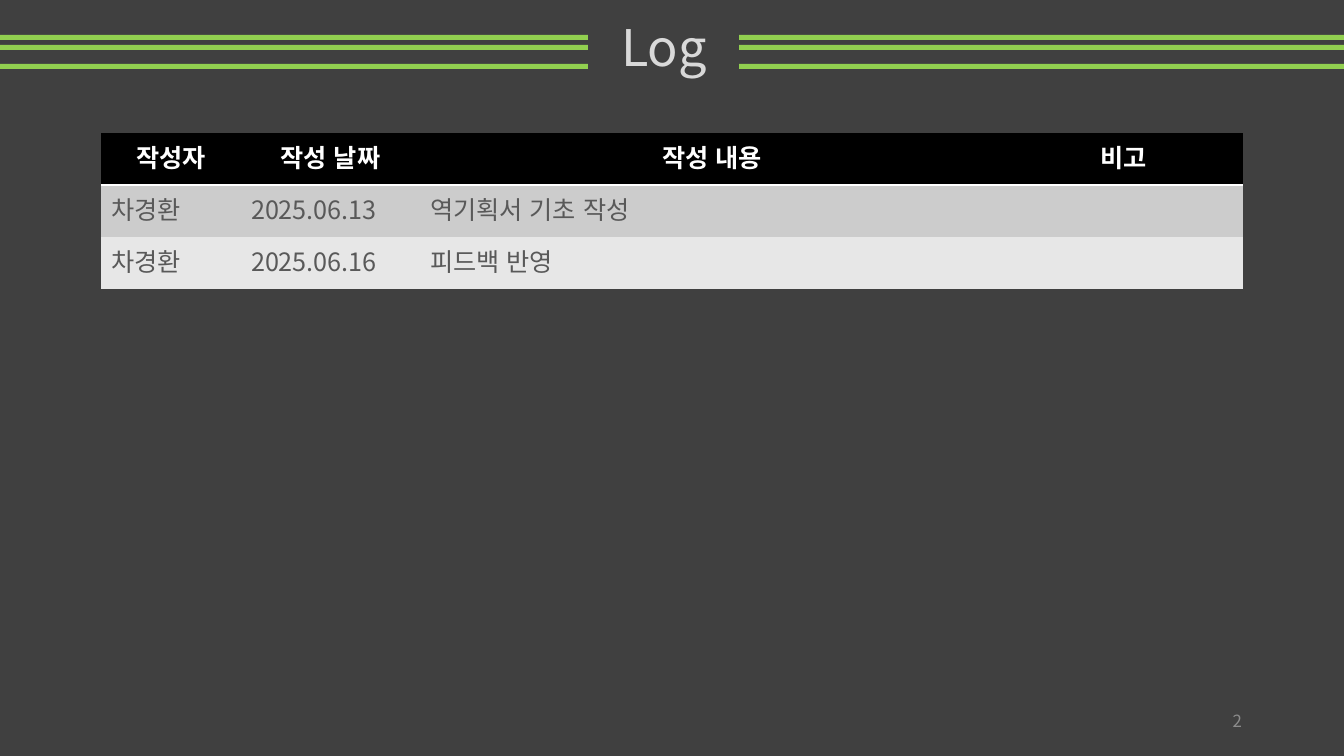
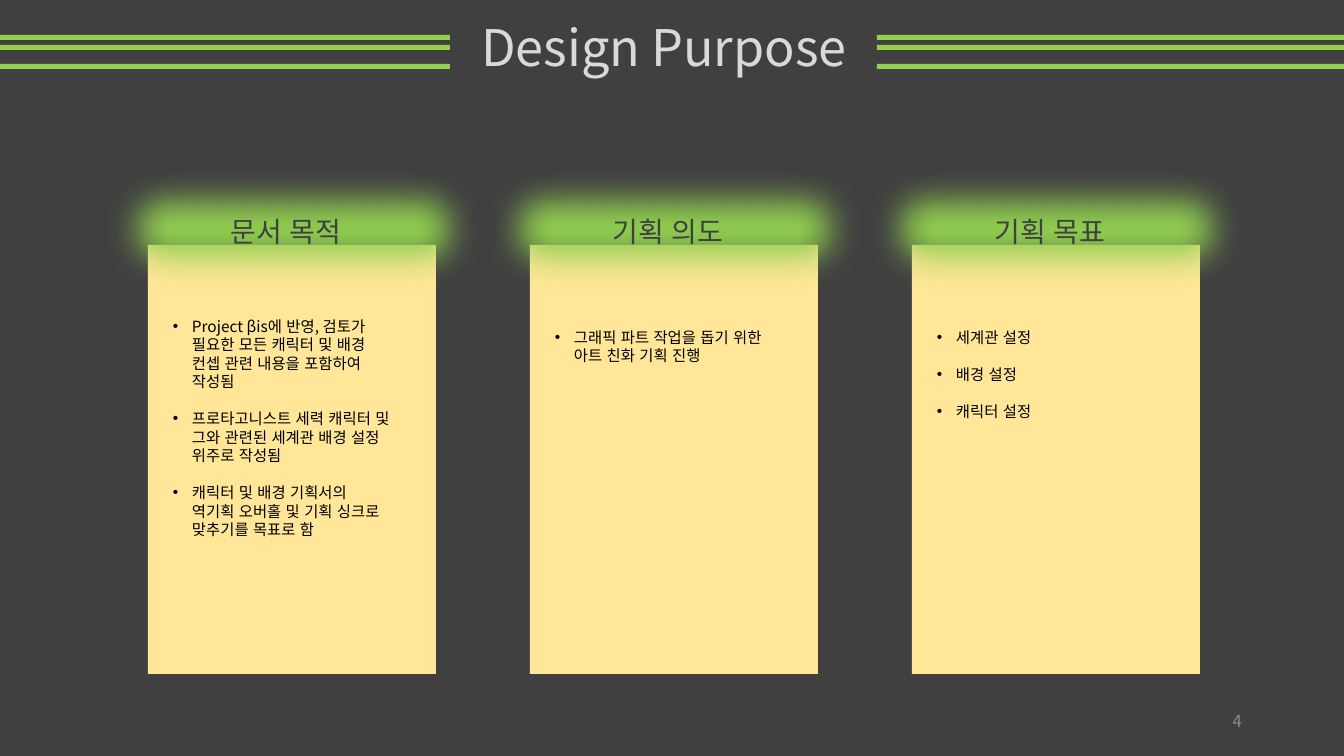
"""Build a change log slide and a design purpose slide."""
import pptx
import pptx.dml.color
import pptx.enum.lang
import pptx.enum.shapes
import pptx.enum.text
import pptx.oxml.ns
import pptx.util
from lxml import etree

FONT = "Noto Sans CJK KR"
COLORS = {
    "background": "404040",
    "green": "92D050",
    "title": "D9D9D9",
    "page": "8C8C8C",
    "panel": "FFE699",
    "label": "404040",
    "body": "000000",
    "header_fill": "000000",
    "header_text": "FFFFFF",
    "cell_text": "595959",
    "row_odd": "CCCCCC",
    "row_even": "E7E7E7",
}
SLIDE_WIDTH, SLIDE_HEIGHT = 1344, 756
BAND_TOPS, BAND_HEIGHT = (35, 45, 64), 5

LOG = {"title": "Log", "page": "2", "gap": (588, 739)}
LOG_COLUMNS = [("작성자", 140), ("작성 날짜", 179), ("작성 내용", 584), ("비고", 239)]
LOG_ROWS = [
    ("차경환", "2025.06.13", "역기획서 기초 작성", ""),
    ("차경환", "2025.06.16", "피드백 반영", ""),
]
LOG_LEFT, LOG_TOP, ROW_HEIGHT = 101, 133, 52

PURPOSE = {"title": "Design Purpose", "page": "4", "gap": (450, 877)}
PURPOSE_COLUMNS = [
    {
        "label": "문서 목적",
        "top": 312, "width": 238, "height": 234,
        "items": [
            "Project βis에 반영, 검토가 필요한 모든 캐릭터 및 배경 컨셉 관련 내용을 포함하여 작성됨",
            "프로타고니스트 세력 캐릭터 및 그와 관련된 세계관 배경 설정 위주로 작성됨",
            "캐릭터 및 배경 기획서의 역기획 오버홀 및 기획 싱크로 맞추기를 목표로 함",
        ],
    },
    {
        "label": "기획 의도",
        "top": 323, "width": 246, "height": 47,
        "items": ["그래픽 파트 작업을 돕기 위한 아트 친화 기획 진행"],
    },
    {
        "label": "기획 목표",
        "top": 323, "width": 246, "height": 104,
        "items": ["세계관 설정", "배경 설정", "캐릭터 설정"],
    },
]
COLUMN_PITCH = 382

SHAPES = pptx.enum.shapes.MSO_SHAPE
ALIGN = pptx.enum.text.PP_ALIGN
ANCHOR = pptx.enum.text.MSO_ANCHOR
AUTO_SIZE = pptx.enum.text.MSO_AUTO_SIZE
qn = pptx.oxml.ns.qn


def px(length):
    return pptx.util.Emu(round(length * 12192000 / SLIDE_WIDTH))


def color(name):
    return pptx.dml.color.RGBColor.from_string(COLORS[name])


def paint(fill, name):
    fill.solid()
    fill.fore_color.rgb = color(name)


def write(frame, lines, size, color_name, align=ALIGN.LEFT, bold=False, bullets=False):
    for index, line in enumerate(lines):
        paragraph = frame.paragraphs[0] if index == 0 else frame.add_paragraph()
        paragraph.text = line
        paragraph.alignment = align
        if index:
            paragraph.space_before = pptx.util.Pt(13.2)
        properties = paragraph._p.get_or_add_pPr()
        if bullets:
            properties.set("marL", str(px(19)))
            properties.set("indent", str(px(-19)))
            etree.SubElement(properties, qn("a:buFont"), typeface="Arial")
            etree.SubElement(properties, qn("a:buChar"), char="•")
        font = paragraph.font
        font.size = pptx.util.Pt(size)
        font.bold = bold
        font.color.rgb = color(color_name)
        font.name = FONT
        font.language_id = pptx.enum.lang.MSO_LANGUAGE_ID.KOREAN
        etree.SubElement(properties.find(qn("a:defRPr")), qn("a:ea"), typeface=FONT)


def add_block(shapes, kind, box, fill_name):
    shape = shapes.add_shape(kind, *map(px, box))
    shape.shadow.inherit = False
    paint(shape.fill, fill_name)
    shape.line.fill.background()
    return shape


def add_text(shapes, box, lines, size, color_name, anchor=ANCHOR.TOP, **style):
    frame = shapes.add_textbox(*map(px, box)).text_frame
    frame.word_wrap = True
    frame.vertical_anchor = anchor
    write(frame, lines, size, color_name, **style)


def add_titled_slide(presentation, heading):
    slide = presentation.slides.add_slide(presentation.slide_layouts[5])
    title = slide.shapes.title
    title.left, title.top, title.width, title.height = map(px, (451, 11, 426, 72))
    title.text_frame.vertical_anchor = ANCHOR.TOP
    title.text_frame.auto_size = AUTO_SIZE.NONE
    write(title.text_frame, [heading["title"]], 36, "title", ALIGN.CENTER)
    gap_left, gap_right = heading["gap"]
    for top in BAND_TOPS:
        for left, right in ((0, gap_left), (gap_right, SLIDE_WIDTH)):
            box = (left, top, right - left, BAND_HEIGHT)
            add_block(slide.shapes, SHAPES.RECTANGLE, box, "green")
    add_text(slide.shapes, (950, 701, 302, 40), [heading["page"]], 12, "page",
             ANCHOR.MIDDLE, align=ALIGN.RIGHT)
    return slide


def add_bottom_border(cell, name):
    line = etree.Element(qn("a:lnB"), w=str(pptx.util.Pt(2)))
    fill = etree.SubElement(line, qn("a:solidFill"))
    etree.SubElement(fill, qn("a:srgbClr"), val=COLORS[name])
    cell._tc.get_or_add_tcPr().insert(0, line)


def add_log_table(slide):
    headers, widths = zip(*LOG_COLUMNS)
    rows = [headers, *LOG_ROWS]
    box = (LOG_LEFT, LOG_TOP, sum(widths), ROW_HEIGHT * len(rows))
    table = slide.shapes.add_table(len(rows), len(headers), *map(px, box)).table
    style = table._tbl.tblPr.find(qn("a:tableStyleId"))
    style.text = "{2D5ABB26-0587-4C30-8999-92F81FD0307C}"
    for column, width in zip(table.columns, widths):
        column.width = px(width)
    for row_index, row in enumerate(rows):
        for column_index, text in enumerate(row):
            cell = table.cell(row_index, column_index)
            if row_index == 0:
                paint(cell.fill, "header_fill")
                add_bottom_border(cell, "header_text")
                write(cell.text_frame, [text], 18, "header_text", ALIGN.CENTER, True)
            else:
                paint(cell.fill, "row_odd" if row_index % 2 else "row_even")
                write(cell.text_frame, [text], 18, "cell_text")


def add_purpose_column(slide, index, column):
    offset = index * COLUMN_PITCH
    group = slide.shapes.add_group_shape().shapes
    add_block(group, SHAPES.RECTANGLE, (148 + offset, 245, 288, 429), "panel")
    header = add_block(group, SHAPES.FLOWCHART_ALTERNATE_PROCESS,
                       (104 + offset, 167, 378, 125), "green")
    effects = header._element.spPr.find(qn("a:effectLst"))
    etree.SubElement(effects, qn("a:softEdge"), rad=str(pptx.util.Pt(25)))
    add_text(group, (137 + offset, 210, 298, 44), [column["label"]], 20, "label",
             align=ALIGN.CENTER)
    box = (163 + offset, column["top"], column["width"], column["height"])
    add_text(slide.shapes, box, column["items"], 11, "body", bullets=True)


def main():
    presentation = pptx.Presentation()
    presentation.slide_width = px(SLIDE_WIDTH)
    presentation.slide_height = px(SLIDE_HEIGHT)
    paint(presentation.slide_master.background.fill, "background")
    add_log_table(add_titled_slide(presentation, LOG))
    purpose_slide = add_titled_slide(presentation, PURPOSE)
    for index, column in enumerate(PURPOSE_COLUMNS):
        add_purpose_column(purpose_slide, index, column)
    presentation.save("out.pptx")


if __name__ == "__main__":
    main()
